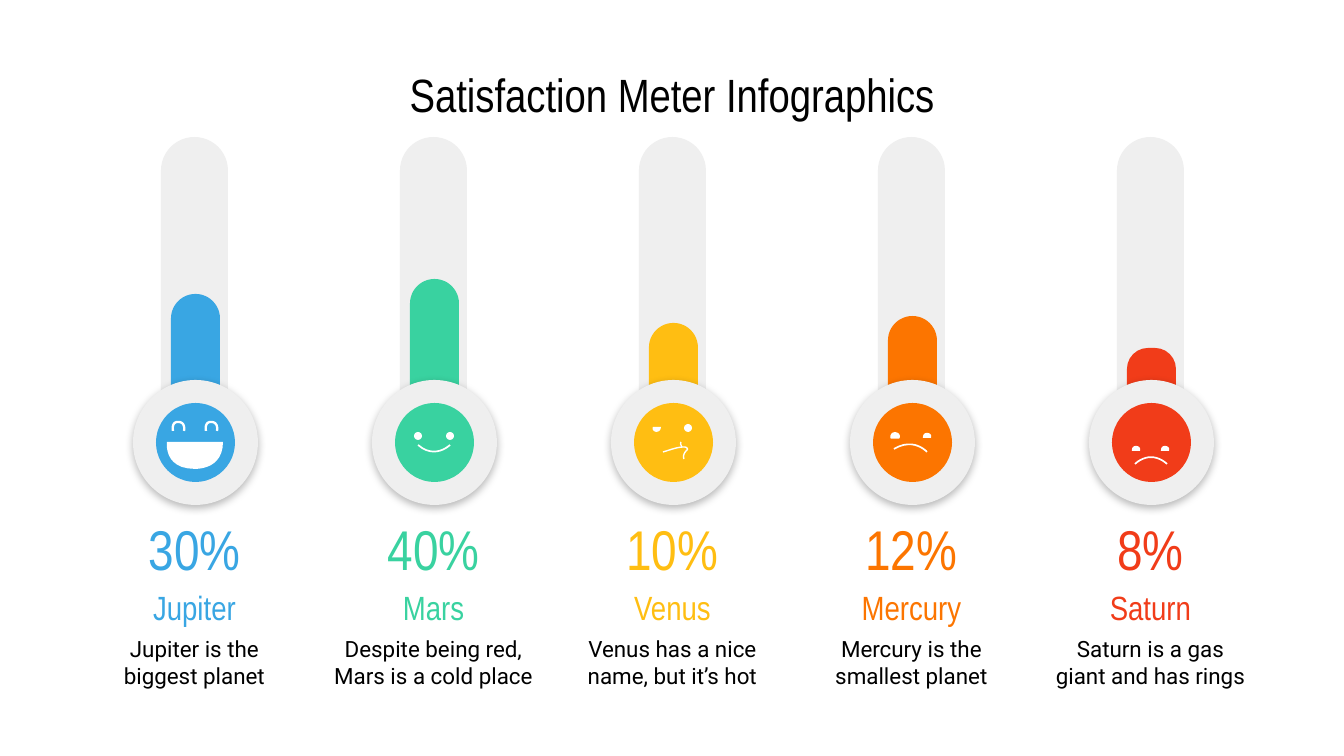
"""Build the satisfaction meter slide with five face thermometers."""
from dataclasses import dataclass

from pptx import Presentation
from pptx.dml.color import RGBColor
from pptx.enum.shapes import MSO_SHAPE
from pptx.enum.text import MSO_ANCHOR, PP_ALIGN
from pptx.oxml import parse_xml
from pptx.oxml.ns import nsdecls, qn
from pptx.shapes.autoshape import Shape
from pptx.shapes.shapetree import GroupShapes
from pptx.util import Emu, Pt

EMU_PER_PX = 914400 / 134.4
SLIDE_WIDTH, SLIDE_HEIGHT = 1344, 756
FIRST_CENTER, PITCH = 195, 239
HEAD_Y, TUBE_TOP, TUBE_BOTTOM = 442, 137, 390
CURVE_STEPS = 12

ELLIPSE = MSO_SHAPE.OVAL
ROUND_TOP = MSO_SHAPE.ROUND_2_SAME_RECTANGLE
CENTER = PP_ALIGN.CENTER
TOP, MIDDLE = MSO_ANCHOR.TOP, MSO_ANCHOR.MIDDLE

BLACK = RGBColor(0x00, 0x00, 0x00)
WHITE = RGBColor(0xFF, 0xFF, 0xFF)
GREY = RGBColor(0xEF, 0xEF, 0xEF)
BLUE = RGBColor(0x39, 0xA6, 0xE3)
GREEN = RGBColor(0x39, 0xD2, 0xA0)
YELLOW = RGBColor(0xFF, 0xBE, 0x12)
ORANGE = RGBColor(0xFC, 0x75, 0x00)
RED = RGBColor(0xF1, 0x3C, 0x19)

HEADING_FONT, BODY_FONT = "Arial Narrow", "Roboto"
INSET = Emu(91440)
FRAME_FORMAT = {
    "word_wrap": True,
    "margin_left": INSET,
    "margin_right": INSET,
    "margin_top": INSET,
    "margin_bottom": INSET,
}
BULB_SHADOW = (
    f'<a:outerShdw {nsdecls("a")} blurRad="57150" dist="19050" dir="5400000" '
    'algn="bl" rotWithShape="0"><a:srgbClr val="000000"><a:alpha val="27000"/>'
    "</a:srgbClr></a:outerShdw>"
)

Point = tuple[int, int]


@dataclass(frozen=True)
class Feature:
    """A white chain of cubic curves, placed from the head's centre."""
    points: tuple[Point, ...]
    shift: Point = (0, 0)
    filled: bool = False
    stroke: float = 0


@dataclass(frozen=True)
class Pupil:
    """A round white eye, placed from the head's centre."""
    center: Point
    size: int = 8


@dataclass(frozen=True)
class Meter:
    """One thermometer with its face and captions."""
    percent: str
    planet: str
    description: str
    color: RGBColor
    level_top: int
    face: tuple[Feature | Pupil, ...]


@dataclass(frozen=True)
class TextStyle:
    """Font and anchor of a caption."""
    font: str
    size: int
    anchor: MSO_ANCHOR = TOP


TITLE = TextStyle(HEADING_FONT, 25, MIDDLE)
PERCENT = TextStyle(HEADING_FONT, 30, MIDDLE)
PLANET = TextStyle(HEADING_FONT, 18)
DESCRIPTION = TextStyle(BODY_FONT, 12)

LAUGHING_EYE = ((6, 9), (6, 9), (8, 0), (0, 0), (-7, 0), (-5, 9), (-5, 9))
HALF_EYE = ((4, 5), (5, 2), (3, 0), (0, 0), (-3, 0), (-4, 2), (-4, 5))

LAUGHING = (
    Feature(((28, 0), (28, 26), (5, 27), (0, 27), (-32, 27), (-28, 0), (-28, 0)),
            filled=True),
    Feature(LAUGHING_EYE, (16, -20), stroke=1.25),
    Feature(LAUGHING_EYE, (-17, -20), stroke=1.25),
)
SMILING = (
    Pupil((-16, -6)),
    Pupil((16, -6)),
    Feature(((16, 3), (16, 3), (1, 18), (-16, 3)), stroke=0.9),
)
DOUBTFUL = (
    Pupil((15, -14)),
    Feature(((-10, 10), (-3, 8), (4, 5), (11, 5), (15, 5), (15, 8), (14, 8),
             (11, 11), (10, 14), (11, 17)), stroke=0.75),
    Feature(((8, 0), (7, 2), (9, 5), (9, 5)), stroke=0.75),
    Feature(((-20, -15), (-21, -13), (-20, -11), (-17, -10), (-14, -10),
             (-12, -12), (-12, -15)), filled=True),
)
UNHAPPY = (
    Feature(HALF_EYE, (15, -9), filled=True),
    Feature(HALF_EYE, (-17, -9), filled=True, stroke=0.75),
    Feature(((15, 10), (15, 10), (2, -5), (-18, 7)), stroke=0.9),
)
SAD = (
    Feature(HALF_EYE, (14, 4), filled=True),
    Feature(HALF_EYE, (-15, 4), filled=True),
    Feature(((16, 22), (6, 13), (-6, 13), (-16, 22)), stroke=0.9),
)

METERS = (
    Meter("30%", "Jupiter", "Jupiter is the biggest planet", BLUE, 294, LAUGHING),
    Meter("40%", "Mars", "Despite being red, Mars is a cold place", GREEN, 279, SMILING),
    Meter("10%", "Venus", "Venus has a nice name, but it’s hot", YELLOW, 323, DOUBTFUL),
    Meter("12%", "Mercury", "Mercury is the smallest planet", ORANGE, 316, UNHAPPY),
    Meter("8%", "Saturn", "Saturn is a gas giant and has rings", RED, 348, SAD),
)


def px(length: float) -> Emu:
    """Turn px into EMU."""
    return Emu(round(length * EMU_PER_PX))


def add_solid(shapes: GroupShapes, kind: MSO_SHAPE, box: tuple[int, int, int, int],
              color: RGBColor) -> Shape:
    """Draw a preset shape without outline."""
    solid = shapes.add_shape(kind, *map(px, box))
    solid.shadow.inherit = False
    solid.fill.solid()
    solid.fill.fore_color.rgb = color
    solid.line.fill.background()
    return solid


def add_column(shapes: GroupShapes, center: int, width: int, top: int,
               color: RGBColor) -> None:
    """Draw a bar with a fully rounded top that ends inside the bulb."""
    box = (center - width // 2 - width % 2 * (width > 50), top, width, TUBE_BOTTOM - top)
    column = add_solid(shapes, ROUND_TOP, box, color)
    column.adjustments[0], column.adjustments[1] = 0.5, 0


def add_disc(shapes: GroupShapes, center: Point, size: int, color: RGBColor) -> Shape:
    """Draw a circle around a centre."""
    left, top = (middle - size // 2 for middle in center)
    return add_solid(shapes, ELLIPSE, (left, top, size, size), color)


def trace_curves(points: tuple[Point, ...]) -> list[tuple[float, float]]:
    """Sample a chain of cubic curves."""
    traced = [points[0]]
    for start in range(0, len(points) - 1, 3):
        controls = points[start:start + 4]
        for step in range(1, CURVE_STEPS + 1):
            t = step / CURVE_STEPS
            weights = ((1 - t) ** 3, 3 * t * (1 - t) ** 2, 3 * t * t * (1 - t), t ** 3)
            traced.append(tuple(sum(w * c for w, c in zip(weights, axis))
                                for axis in zip(*controls)))
    return traced


def add_feature(shapes: GroupShapes, center: Point, feature: Feature) -> None:
    """Draw an eye or a mouth from curves."""
    origin_x, origin_y = (c + s for c, s in zip(center, feature.shift))
    outline = [(px(origin_x + x), px(origin_y + y)) for x, y in trace_curves(feature.points)]
    builder = shapes.build_freeform(*outline[0])
    builder.add_line_segments(outline[1:], close=feature.filled)
    drawn = builder.convert_to_shape()
    drawn.shadow.inherit = False
    for paint, visible in ((drawn.fill, feature.filled), (drawn.line.fill, feature.stroke)):
        if visible:
            paint.solid()
            paint.fore_color.rgb = WHITE
        else:
            paint.background()
    if feature.stroke:
        drawn.line.width = Pt(feature.stroke)


def add_caption(shapes: GroupShapes, box: tuple[int, int, int, int], text: str,
                style: TextStyle, color: RGBColor) -> None:
    """Write one centred paragraph."""
    frame = shapes.add_textbox(*map(px, box)).text_frame
    for name, value in {**FRAME_FORMAT, "vertical_anchor": style.anchor}.items():
        setattr(frame, name, value)
    paragraph = frame.paragraphs[0]
    paragraph.alignment = CENTER
    run = paragraph.add_run()
    run.text = text
    for name, value in {"name": style.font, "size": Pt(style.size)}.items():
        setattr(run.font, name, value)
    run.font.color.rgb = color


def add_meter(shapes: GroupShapes, center_x: int, meter: Meter) -> None:
    """Draw a thermometer, its face and its captions."""
    head = (center_x, HEAD_Y)
    add_column(shapes, center_x, 67, TUBE_TOP, GREY)
    add_column(shapes, center_x, 49, meter.level_top, meter.color)
    bulb = add_disc(shapes, head, 125, GREY)
    bulb._element.spPr.find(qn("a:effectLst")).append(parse_xml(BULB_SHADOW))
    add_disc(shapes, head, 79, meter.color)
    for part in meter.face:
        if isinstance(part, Pupil):
            eye = (center_x + part.center[0], HEAD_Y + part.center[1])
            add_disc(shapes, eye, part.size, WHITE)
        else:
            add_feature(shapes, head, part)
    for text, top, height, style, color in (
        (meter.planet, 573, 48, PLANET, meter.color),
        (meter.description, 622, 74, DESCRIPTION, BLACK),
        (meter.percent, 515, 67, PERCENT, meter.color),
    ):
        add_caption(shapes, (center_x - 114, top, 227, height), text, style, color)


def main() -> None:
    """Build and save the slide."""
    deck = Presentation()
    deck.slide_width, deck.slide_height = px(SLIDE_WIDTH), px(SLIDE_HEIGHT)
    slide = deck.slides.add_slide(deck.slide_layouts[6])
    add_caption(slide.shapes, (67, 60, 1210, 67), "Satisfaction Meter Infographics",
                TITLE, BLACK)
    for index, meter in enumerate(METERS):
        group = slide.shapes.add_group_shape()
        add_meter(group.shapes, FIRST_CENTER + index * PITCH, meter)
    deck.save("out.pptx")


if __name__ == "__main__":
    main()
